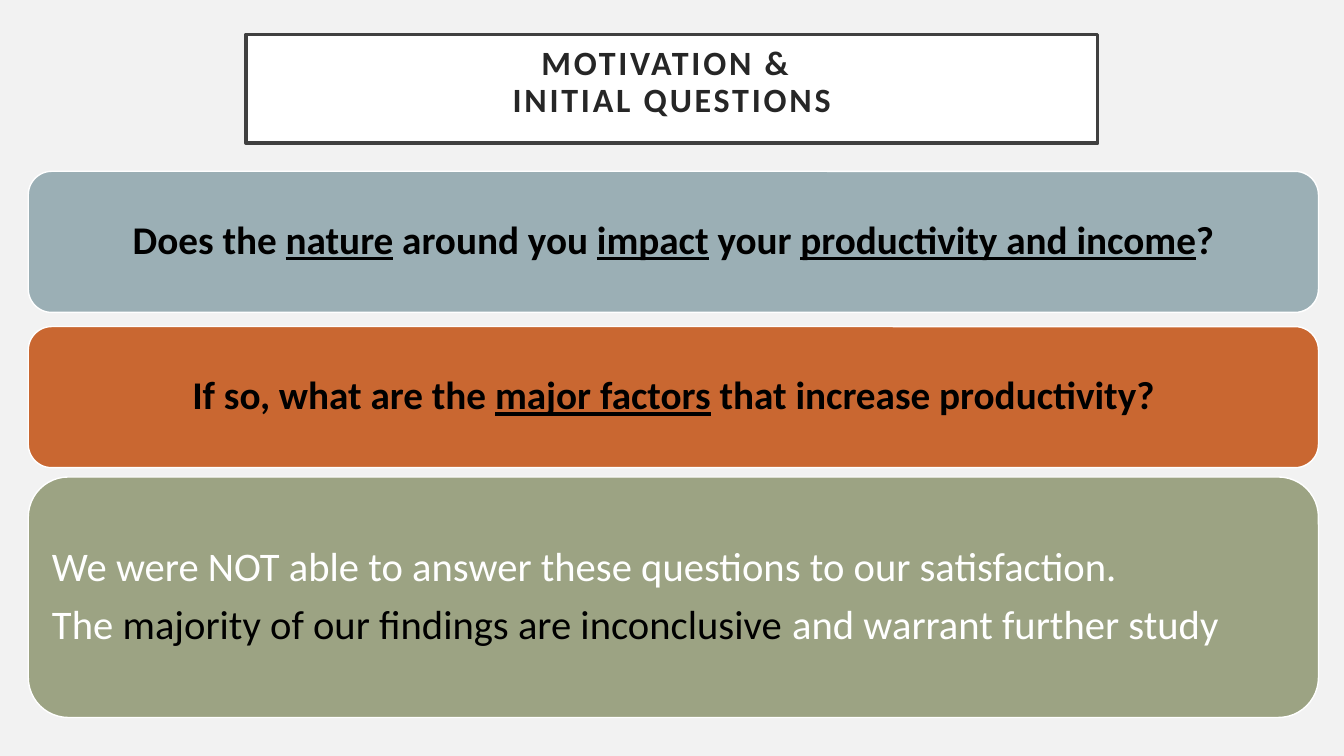
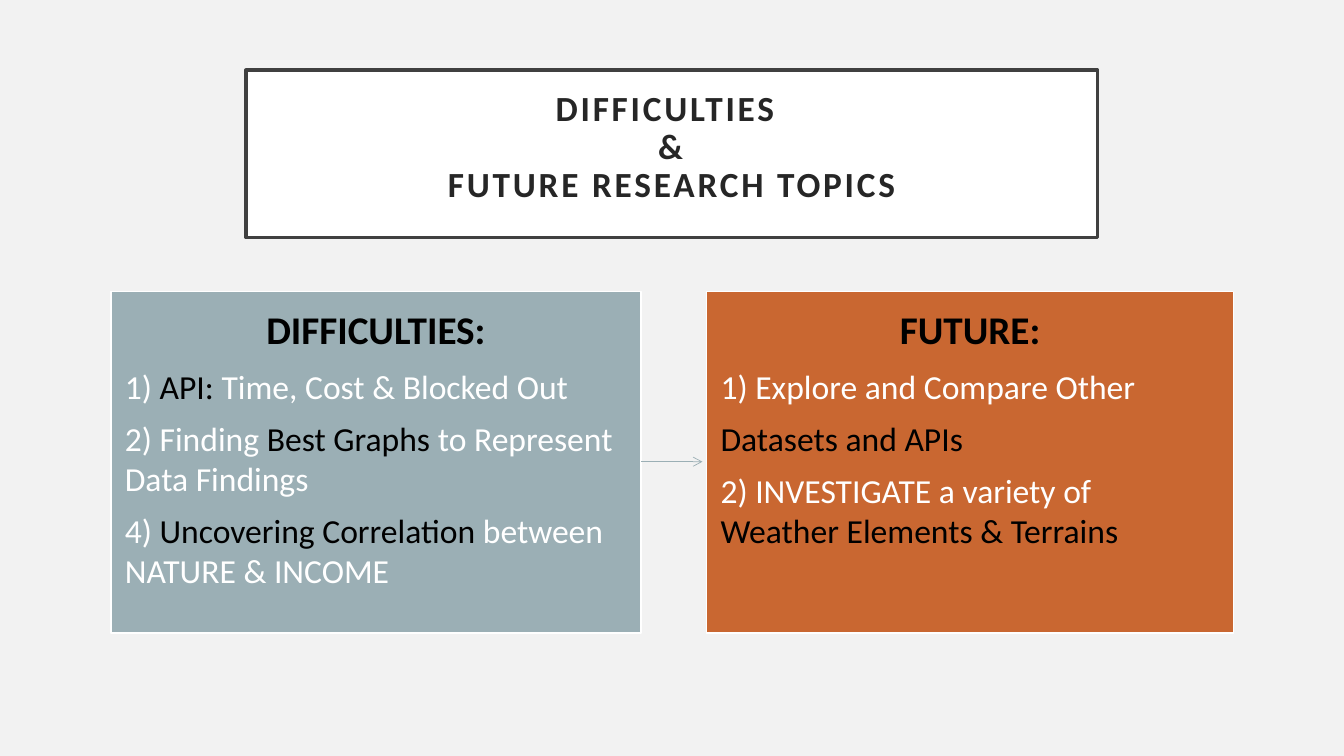
from lxml import etree
from pptx import Presentation
from pptx.dml.color import RGBColor
from pptx.enum import shapes, text
from pptx.oxml import ns
from pptx.util import Pt

FONT = "Calibri"
PAPER, WHITE, BLACK = "F2F2F2", "FFFFFF", "000000"
FRAME, TITLE = "404040", "262626"
BLUE, ORANGE, GREEN = "9BAFB5", "C96731", "9CA383"
RECT, ROUND = shapes.MSO_SHAPE.RECTANGLE, shapes.MSO_SHAPE.ROUNDED_RECTANGLE
LEFT, CENTER = text.PP_ALIGN.LEFT, text.PP_ALIGN.CENTER
TOP, MIDDLE = text.MSO_ANCHOR.TOP, text.MSO_ANCHOR.MIDDLE


def box(s, kind, rect, fill, line=WHITE, width=1, inset=(8.6, 8.6, 8.6), anchor=MIDDLE):
    """Add a filled shape; inset is (sides, top, bottom). Return its text frame."""
    sp = s.shapes.add_shape(kind, *[Pt(v) for v in rect])
    sp.shadow.inherit = False
    sp.fill.solid()
    sp.fill.fore_color.rgb = RGBColor.from_string(fill)
    sp.line.color.rgb = RGBColor.from_string(line)
    sp.line.width = Pt(width)
    tf = sp.text_frame
    tf.word_wrap = True
    tf.vertical_anchor = anchor
    tf.margin_left = tf.margin_right = Pt(inset[0])
    tf.margin_top, tf.margin_bottom = Pt(inset[1]), Pt(inset[2])
    return tf


def write(tf, words, size, color=BLACK, bold=False, align=LEFT, spacing=1.0, after=0,
          track=0, accent=None):
    """Add a paragraph. Text between bars takes the accent colour, or an underline
    without one; a newline breaks the line."""
    p = tf.paragraphs[0]
    if p.runs:
        p = tf.add_paragraph()
    p.alignment, p.line_spacing, p.space_after = align, spacing, Pt(after)
    for i, part in enumerate(words.split("|")):
        marked = i % 2 == 1
        for j, line in enumerate(part.split("\n")):
            if j:
                p.add_line_break()
            if not line:
                continue
            r = p.add_run()
            r.text = line
            r.font.name, r.font.size, r.font.bold = FONT, Pt(size), bold
            r.font.color.rgb = RGBColor.from_string(accent if marked and accent else color)
            if marked and not accent:
                r.font.underline = True
            if track:
                r.font._element.set("spc", str(track * 100))


prs = Presentation()
prs.slide_width, prs.slide_height = Pt(960), Pt(540)
paper = prs.slide_master.background.fill
paper.solid()
paper.fore_color.rgb = RGBColor.from_string(PAPER)

titles = [
    ("MOTIVATION & \nINITIAL QUESTIONS", 24.5, 77.8, 24.3),
    ("DIFFICULTIES \n&\nFUTURE RESEARCH TOPICS", 50.2, 119.5, 25.2),
]
slides = []
for words, top, height, size in titles:
    s = prs.slides.add_slide(prs.slide_layouts[6])
    tf = box(s, RECT, (175.7, top, 608.4, height), WHITE, FRAME, 2.5, (14.4, 6, 14))
    write(tf, words, size, TITLE, bold=True, align=CENTER, spacing=0.9, track=2)
    slides.append(s)
questions, outlook = slides

# Slide 1: two question cards and the answer
question = dict(size=28, bold=True, align=CENTER)
answer = dict(size=29, color=WHITE, accent=BLACK)
cards = [
    (122.4, 100.8, BLUE, question,
     ["Does the |nature| around you |impact| your |productivity and income|?"]),
    (233.3, 100.8, ORANGE, question,
     ["If so, what are the |major factors| that increase productivity?"]),
    (340.7, 171.8, GREEN, answer,
     ["We were NOT able to answer these questions to our satisfaction.",
      "The |majority of our findings are inconclusive |and warrant further study"]),
]
for top, height, fill, style, lines in cards:
    tf = box(questions, ROUND, (20.2, top, 921.6, height), fill)
    for line in lines:
        write(tf, line, spacing=0.9, after=10, **style)

# Slide 2: two panels joined by an arrow
panels = [
    (79.2, 378.7, BLUE, "DIFFICULTIES:",
     ["1) |API: |Time, Cost & Blocked Out",
      "2) Finding |Best Graphs |to Represent Data Findings",
      "4) |Uncovering Correlation |between NATURE & INCOME"]),
    (504.7, 376.6, ORANGE, "FUTURE:",
     ["1) Explore and Compare Other",
      "|Datasets and APIs|",
      "2) INVESTIGATE a variety of\n|Weather Elements & Terrains|"]),
]
for left, width, fill, heading, lines in panels:
    tf = box(outlook, RECT, (left, 208.1, width, 244), fill, inset=(10, 10, 10), anchor=TOP)
    write(tf, heading, 28, bold=True, align=CENTER, after=10)
    for line in lines:
        write(tf, line, 24, WHITE, after=8, accent=BLACK)

arrow = outlook.shapes.add_connector(
    shapes.MSO_CONNECTOR.STRAIGHT, Pt(457.9), Pt(329.8), Pt(501.8), Pt(329.8))
arrow.line.color.rgb = RGBColor.from_string(BLUE)
arrow.line.width = Pt(0.5)
etree.SubElement(arrow.line._get_or_add_ln(), ns.qn("a:tailEnd"), type="arrow")
etree.SubElement(arrow._element.spPr, ns.qn("a:effectLst"))

prs.save("out.pptx")
